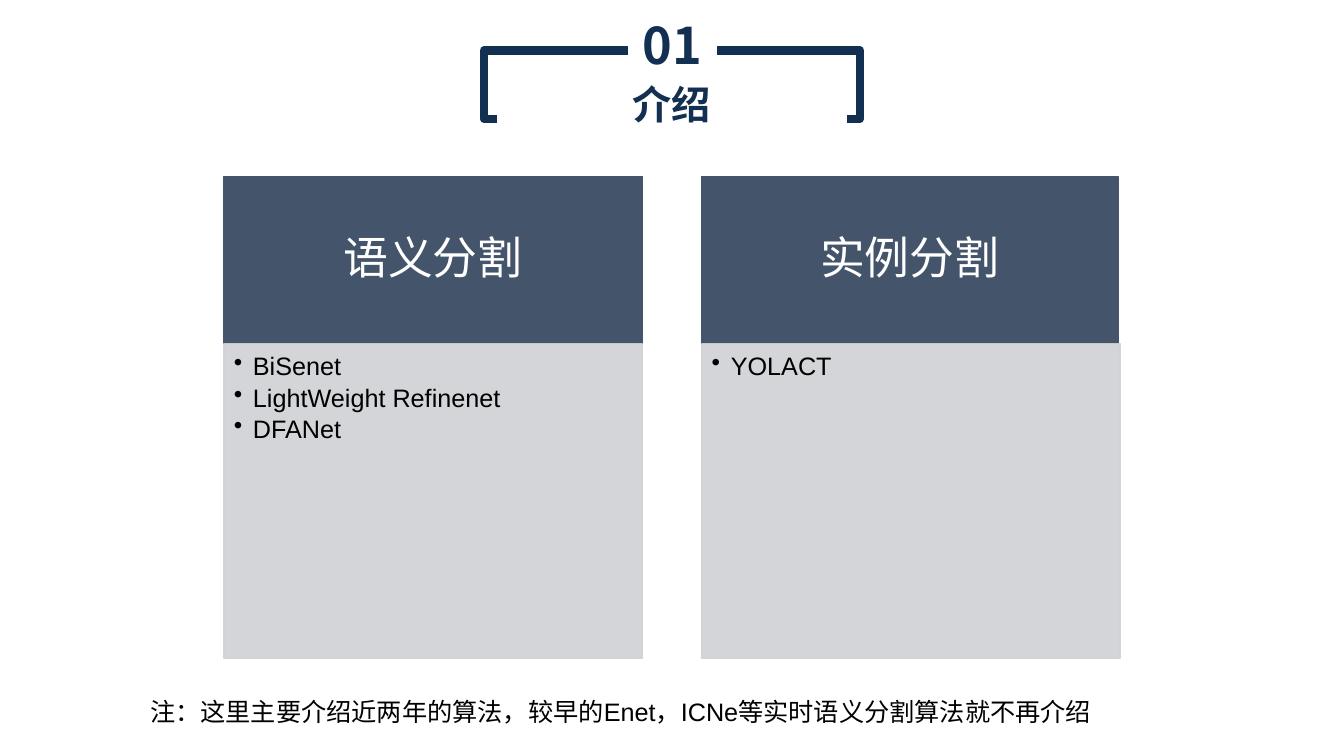
from lxml import etree
from pptx import Presentation
from pptx import util as u
from pptx.dml.color import RGBColor
from pptx.enum import shapes, text
from pptx.oxml.ns import qn

COLORS = {"navy": "132F52", "slate": "44546A", "panel": "CFD1D4",
          "white": "FFFFFF", "black": "000000"}
CJK = "Noto Sans CJK SC"
TOP, MIDDLE = text.MSO_ANCHOR.TOP, text.MSO_ANCHOR.MIDDLE
LEFT, CENTER = text.PP_ALIGN.LEFT, text.PP_ALIGN.CENTER

BRACKET = (4.8, 0.5, 3.73, 0.68)
TITLES = [
    ("01", (6.23, 0.18, 0.88, 0.71), {"name": CJK, "size": 36}),
    ("介绍", (4.93, 0.83, 3.47, 0.57), {"name": "Lato", "size": 28}),
]
CARDS = [
    ("语义分割", ["BiSenet", "LightWeight Refinenet", "DFANet"], 2.22, 4.15),
    ("实例分割", ["YOLACT"], 6.96, 4.13),
]
CARD_TOP, HEAD_H, BODY_W, BODY_H = 1.75, 1.66, 4.15, 3.12
NOTE = "注：这里主要介绍近两年的算法，较早的Enet，ICNe等实时语义分割算法就不再介绍"
NOTE_BOX = (1.39, 6.9, 10.29, 0.4)

TITLE_FRAME = {"margins": (0, 0, 0, 0), "anchor": TOP}
HEAD_FRAME = {"margins": (0.25, 0.14, 0.25, 0.14), "anchor": MIDDLE}
BODY_FRAME = {"margins": (0.1, 0.1, 0.14, 0.16), "anchor": TOP}
NOTE_FRAME = {"margins": (0.1, 0.01, 0.1, 0.05), "anchor": TOP}
HEAD_PARA = {"alignment": CENTER, "line_spacing": 0.9}
BODY_PARA = {"alignment": LEFT, "line_spacing": 0.9, "space_after": u.Pt(3)}


def rgb(name):
    return RGBColor.from_string(COLORS[name])


def add_rect(slide, box, fill=None, line=None, width=1, alpha=None):
    s = slide.shapes.add_shape(shapes.MSO_SHAPE.RECTANGLE, *map(u.Inches, box))
    s.shadow.inherit = False
    if fill:
        s.fill.solid()
        s.fill.fore_color.rgb = rgb(fill)
    else:
        s.fill.background()
    if line:
        s.line.color.rgb = rgb(line)
        s.line.width = u.Pt(width)
    else:
        s.line.fill.background()
    if alpha:
        for clr in s._element.spPr.iter(qn("a:srgbClr")):
            etree.SubElement(clr, qn("a:alpha"), val=str(alpha * 1000))
    return s


def write(s, lines, frame, para, font, color, bullet=False):
    tf = s.text_frame
    tf.word_wrap = True
    tf.vertical_anchor = frame["anchor"]
    for side, value in zip(("left", "top", "right", "bottom"), frame["margins"]):
        setattr(tf, f"margin_{side}", u.Inches(value))
    for i, line in enumerate(lines):
        p = tf.add_paragraph() if i else tf.paragraphs[0]
        if bullet:
            pPr = p._p.get_or_add_pPr()
            pPr.set("marL", str(u.Inches(0.19)))
            pPr.set("indent", str(-u.Inches(0.19)))
            etree.SubElement(pPr, qn("a:buChar"), char="•")
        for key, value in para.items():
            setattr(p, key, value)
        r = p.add_run()
        r.text = line
        for key, value in font.items():
            setattr(r.font, key, u.Pt(value) if key == "size" else value)
        r.font.color.rgb = rgb(color)
        etree.SubElement(r._r.get_or_add_rPr(), qn("a:ea"), typeface=CJK)


def main():
    prs = Presentation()
    prs.slide_width, prs.slide_height = u.Inches(13.33), u.Inches(7.5)
    slide = prs.slides.add_slide(prs.slide_layouts[6])

    add_rect(slide, BRACKET, line="navy", width=6)
    for title, box, font in TITLES:
        write(add_rect(slide, box, "white"), [title], TITLE_FRAME,
              {"alignment": CENTER, "line_spacing": 0.95},
              {**font, "bold": True}, "navy")

    note = slide.shapes.add_textbox(*map(u.Inches, NOTE_BOX))
    write(note, [NOTE], NOTE_FRAME, {"alignment": LEFT},
          {"name": "Arial", "size": 18}, "black")

    for heading, items, left, head_w in CARDS:
        head = add_rect(slide, (left, CARD_TOP, head_w, HEAD_H), "slate", "slate")
        write(head, [heading], HEAD_FRAME, HEAD_PARA,
              {"name": "Arial", "size": 32}, "white")
        body = add_rect(slide, (left, CARD_TOP + HEAD_H, BODY_W, BODY_H),
                        "panel", "panel", alpha=90)
        write(body, items, BODY_FRAME, BODY_PARA,
              {"name": "Arial", "size": 18}, "black", bullet=True)

    prs.save("out.pptx")


if __name__ == "__main__":
    main()
